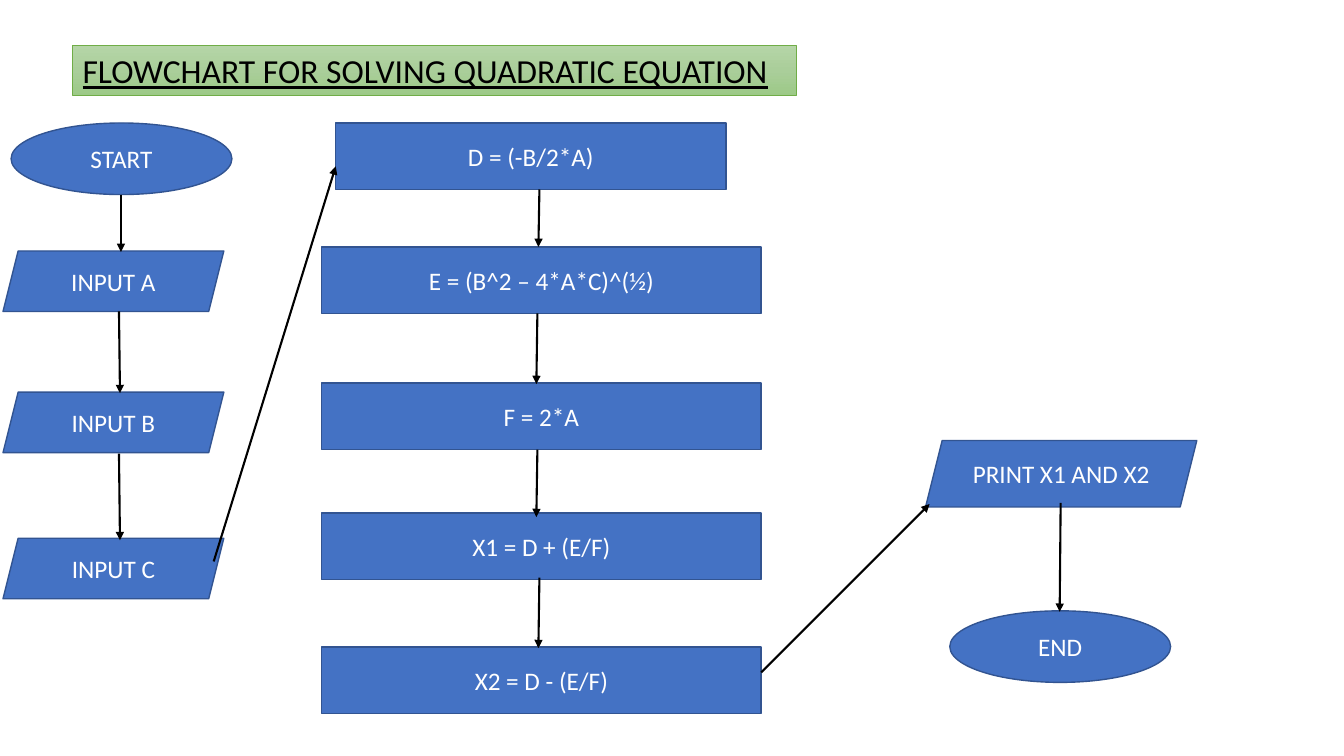
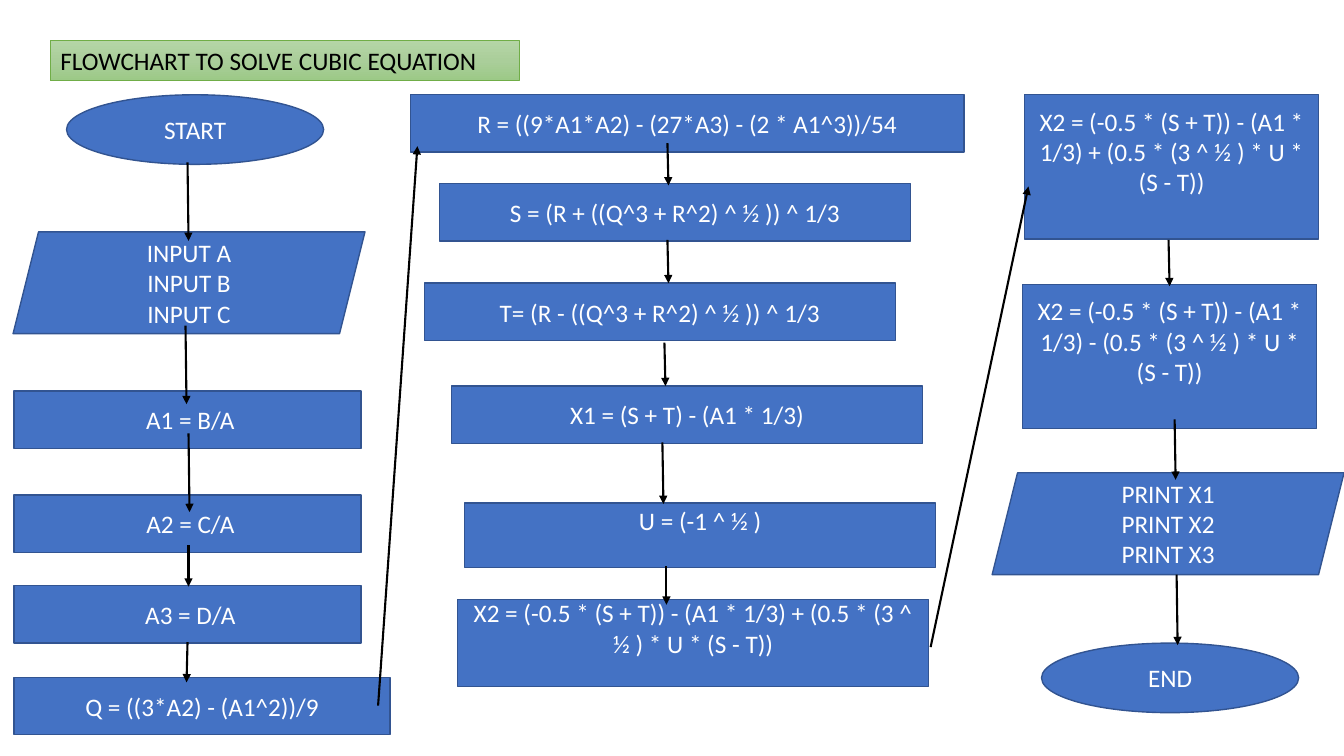
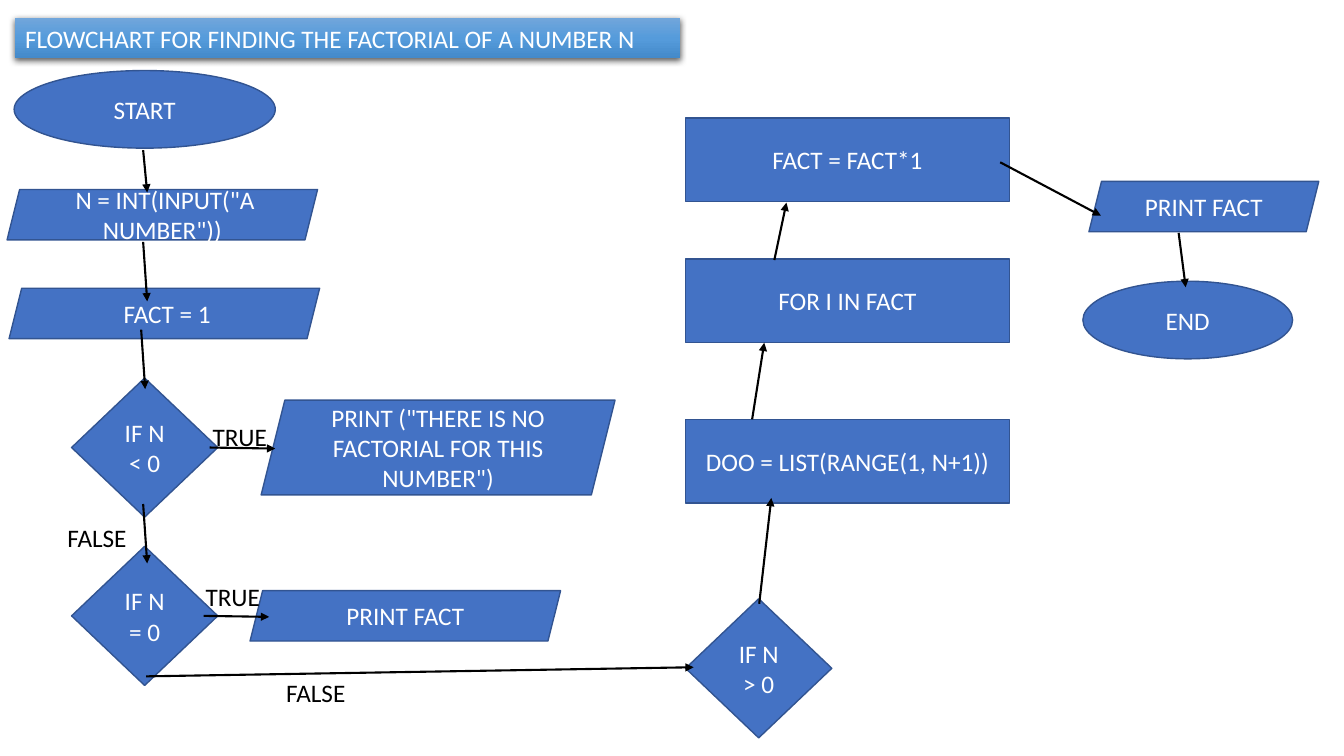
import copy

import pptx
import pptx.util
import pptx.dml.color
import pptx.enum.shapes
import pptx.enum.text
import pptx.oxml
import pptx.oxml.ns
import pptx.oxml.xmlchemy

Inches = pptx.util.Inches
Pt = pptx.util.Pt
SHAPES = pptx.enum.shapes.MSO_SHAPE
ALIGN = pptx.enum.text.PP_ALIGN
ANCHOR = pptx.enum.text.MSO_ANCHOR

FONT = "Calibri"
BODY_SIZE = 18
COLOURS = {
    "node": "4472C4",
    "edge": "325491",
    "light": "FFFFFF",
    "dark": "000000",
    "title_edge": "70AD47",
}
GREEN = ("B5D5A7", "AACE9A", "9CC987")
BLUE = ("71A6DB", "559BDB", "448ACA")
KINDS = {
    "terminal": SHAPES.OVAL,
    "data": SHAPES.PARALLELOGRAM,
    "process": SHAPES.RECTANGLE,
    "decision": SHAPES.DIAMOND,
}
TITLE_SHADOW = (
    '<a:effectLst xmlns:a="http://schemas.openxmlformats.org/drawingml/2006/main">'
    '<a:outerShdw blurRad="57150" dist="19050" dir="5400000" algn="ctr" rotWithShape="0">'
    '<a:srgbClr val="000000"><a:alpha val="63000"/></a:srgbClr>'
    "</a:outerShdw></a:effectLst>"
)


def rgb(value):
    """Turn a hex string into a colour."""
    return pptx.dml.color.RGBColor.from_string(value)


def write(box, text, colour, align, anchor, size=BODY_SIZE, underline=False):
    """Fill a shape with text, one paragraph for each line."""
    frame = box.text_frame
    frame.word_wrap = True
    frame.vertical_anchor = anchor
    for index, line in enumerate(text.split("\n")):
        para = frame.paragraphs[0] if index == 0 else frame.add_paragraph()
        para.alignment = align
        span = para.add_run()
        span.text = line
        span.font.name = FONT
        span.font.size = Pt(size)
        span.font.underline = underline
        span.font.color.rgb = rgb(COLOURS[colour])


def shade(fill, hues):
    """Apply a top-to-bottom gradient of three evenly spaced colours."""
    fill.gradient()
    fill.gradient_angle = 270
    stops = fill._xPr.find(".//" + pptx.oxml.ns.qn("a:gsLst"))
    stops.insert(1, copy.deepcopy(stops[0]))
    for index, (stop, hue) in enumerate(zip(fill.gradient_stops, hues)):
        stop.position = index / 2
        stop.color.rgb = rgb(hue)


def add_title(page, text, left, top, width, height, hues=GREEN, colour="dark",
              size=BODY_SIZE, underline=False, raised=False):
    """Draw the gradient title band, either outlined or raised by a shadow."""
    band = page.shapes.add_shape(SHAPES.RECTANGLE, Inches(left), Inches(top),
                                 Inches(width), Inches(height))
    shade(band.fill, hues)
    if raised:
        band.line.fill.background()
        band._element.spPr.append(pptx.oxml.parse_xml(TITLE_SHADOW))
    else:
        band.line.color.rgb = rgb(COLOURS["title_edge"])
        band.line.width = Pt(0.5)
        band.shadow.inherit = False
    write(band, text, colour, ALIGN.LEFT, ANCHOR.TOP, size, underline)


def add_node(page, kind, text, left, top, width, height, bottom_inset=0.05):
    """Draw one flowchart step."""
    node = page.shapes.add_shape(KINDS[kind], Inches(left), Inches(top),
                                 Inches(width), Inches(height))
    node.shadow.inherit = False
    node.fill.solid()
    node.fill.fore_color.rgb = rgb(COLOURS["node"])
    node.line.color.rgb = rgb(COLOURS["edge"])
    node.line.width = Pt(1)
    node.text_frame.margin_bottom = Inches(bottom_inset)
    write(node, text, "light", ALIGN.CENTER, ANCHOR.MIDDLE)


def add_column(page, kind, left, width, height, steps):
    """Draw steps of one kind and size below each other."""
    for text, top in steps:
        add_node(page, kind, text, left, top, width, height)


def add_arrows(page, routes):
    """Draw an arrow for each start and end point."""
    for route in routes:
        arrow = page.shapes.add_connector(pptx.enum.shapes.MSO_CONNECTOR.STRAIGHT,
                                          *[Inches(value) for value in route])
        arrow.line.color.rgb = rgb(COLOURS["dark"])
        arrow.line.width = Pt(1.5)
        head = pptx.oxml.xmlchemy.OxmlElement("a:tailEnd")
        head.set("type", "triangle")
        arrow.line._get_or_add_ln().append(head)
        arrow._element.spPr.append(pptx.oxml.xmlchemy.OxmlElement("a:effectLst"))


def add_label(page, text, left, top, width):
    """Write the name of a branch."""
    label = page.shapes.add_textbox(Inches(left), Inches(top), Inches(width), Inches(0.4))
    write(label, text, "dark", ALIGN.LEFT, ANCHOR.TOP)


def build_quadratic(page):
    """Build the quadratic equation flowchart."""
    add_title(page, "FLOWCHART FOR SOLVING QUADRATIC EQUATION",
              0.72, 0.45, 7.18, 0.5, size=24, underline=True)
    add_node(page, "terminal", "START", 0.11, 1.22, 2.19, 0.71)
    add_column(page, "data", 0.03, 2.19, 0.6,
               [("INPUT A", 2.49), ("INPUT B", 3.89), ("INPUT C", 5.34)])
    add_node(page, "process", "D = (-B/2*A)", 3.33, 1.22, 3.87, 0.66)
    add_column(page, "process", 3.19, 4.36, 0.66, [
        ("E = (B^2 – 4*A*C)^(½)", 2.45),
        ("F = 2*A", 3.8),
        ("X1 = D + (E/F)", 5.09),
        ("X2 = D - (E/F)", 6.42),
    ])
    add_node(page, "data", "PRINT X1 AND X2", 9.18, 4.37, 2.69, 0.66)
    add_node(page, "terminal", "END", 9.42, 6.06, 2.19, 0.71)
    add_arrows(page, [
        (1.2, 1.93, 1.2, 2.5),
        (1.18, 3.09, 1.19, 3.9),
        (1.18, 4.5, 1.19, 5.36),
        (2.12, 5.57, 3.33, 1.65),
        (5.35, 1.88, 5.34, 2.45),
        (5.33, 3.11, 5.32, 3.81),
        (5.33, 4.46, 5.32, 5.13),
        (5.35, 5.73, 5.34, 6.43),
        (7.55, 6.67, 9.22, 5),
        (10.52, 4.99, 10.51, 6.07),
    ])


def build_cubic(page):
    """Build the cubic equation flowchart."""
    root = "X2 = (-0.5 * (S + T)) - (A1 * 1/3) {} (0.5 * (3 ^ ½ ) * U * (S - T))"
    raised_text = 0.35
    add_title(page, "FLOWCHART TO SOLVE CUBIC EQUATION", 0.5, 0.4, 4.65, 0.4)
    add_node(page, "terminal", "START", 0.66, 0.94, 2.55, 0.69)
    add_node(page, "data", "INPUT A\nINPUT B\nINPUT C", 0.13, 2.3, 3.49, 1.01)
    add_column(page, "process", 0.14, 3.44, 0.57,
               [(" A1 = B/A", 3.88), (" A2 = C/A", 4.91), (" A3 = D/A", 5.81)])
    add_node(page, "process", "Q = ((3*A2) - (A1^2))/9", 0.14, 6.72, 3.73, 0.57)
    add_node(page, "process", "R = ((9*A1*A2) - (27*A3) - (2 * A1^3))/54",
             4.07, 0.94, 5.49, 0.57)
    for text, left, top in [
        ("S =\u00a0(R + ((Q^3 + R^2) ^ ½ )) ^ 1/3", 4.36, 1.82),
        ("T=\u00a0(R - ((Q^3 + R^2) ^ ½ )) ^ 1/3", 4.21, 2.81),
        ("X1 = (S + T) - (A1 * 1/3)", 4.48, 3.83),
    ]:
        add_node(page, "process", text, left, top, 4.67, 0.57)
    for text, left, top, width, height in [
        ("U = (-1 ^ ½ )", 4.61, 4.99, 4.67, 0.64),
        (root.format("+"), 4.54, 5.95, 4.67, 0.86),
        (root.format("+"), 10.16, 0.94, 2.92, 1.43),
        (root.format("-"), 10.14, 2.82, 2.92, 1.43),
    ]:
        add_node(page, "process", text, left, top, width, height, raised_text)
    add_node(page, "data", "PRINT X1\nPRINT X2\nPRINT X3", 9.84, 4.69, 3.49, 1.01)
    add_node(page, "terminal", "END", 10.33, 6.38, 2.55, 0.69)
    add_arrows(page, [
        (1.86, 1.61, 1.87, 2.39),
        (1.84, 3.23, 1.85, 4.01),
        (1.87, 4.3, 1.88, 5.08),
        (1.87, 5.41, 1.87, 5.82),
        (1.86, 6.37, 1.85, 6.77),
        (3.75, 7, 4.14, 1.45),
        (6.62, 1.42, 6.63, 1.84),
        (6.62, 2.38, 6.63, 2.81),
        (6.59, 3.4, 6.6, 3.83),
        (6.57, 4.39, 6.58, 5),
        (6.61, 5.62, 6.61, 6),
        (9.23, 6.42, 10.2, 1.85),
        (11.59, 2.38, 11.6, 2.84),
        (11.65, 4.16, 11.66, 4.76),
        (11.67, 5.7, 11.68, 6.4),
    ])


def build_factorial(page):
    """Build the factorial flowchart."""
    add_title(page, "FLOWCHART FOR FINDING THE FACTORIAL OF A NUMBER N",
              0.15, 0.18, 6.6, 0.4, hues=BLUE, colour="light", raised=True)
    add_node(page, "terminal", "START", 0.14, 0.7, 2.59, 0.77)
    add_node(page, "data", '\u00a0N = INT(INPUT("A NUMBER"))', 0.07, 1.88, 3.08, 0.5)
    add_node(page, "data", "\u00a0FACT = 1", 0.09, 2.86, 3.08, 0.5)
    add_column(page, "decision", 0.71, 1.45, 1.38, [("IF N < 0", 3.75), ("IF N = 0", 5.42)])
    add_node(page, "data", 'PRINT ("THERE IS NO FACTORIAL FOR THIS NUMBER")',
             2.59, 3.97, 3.51, 0.94)
    add_node(page, "data", "PRINT FACT", 2.48, 5.86, 3.08, 0.5)
    add_node(page, "decision", "IF N > 0", 6.8, 5.94, 1.45, 1.38)
    add_column(page, "process", 6.8, 3.21, 0.83, [
        ("DOO = LIST(RANGE(1, N+1))", 4.16),
        ("FOR I IN FACT", 2.57),
        ("FACT = FACT*1", 1.17),
    ])
    add_node(page, "data", "PRINT FACT", 10.8, 1.8, 2.28, 0.5)
    add_node(page, "terminal", "END", 10.74, 2.79, 2.08, 0.77)
    add_arrows(page, [
        (1.42, 1.49, 1.46, 1.91),
        (1.42, 2.4, 1.46, 2.99),
        (1.4, 3.27, 1.44, 3.86),
        (2.08, 4.44, 2.73, 4.45),
        (1.42, 5, 1.46, 5.59),
        (2.02, 6.11, 2.67, 6.12),
        (1.45, 6.71, 6.88, 6.62),
        (7.53, 5.99, 7.65, 4.94),
        (7.46, 4.16, 7.58, 3.4),
        (7.68, 2.58, 7.8, 2.01),
        (9.92, 1.61, 10.92, 2.14),
        (11.69, 2.31, 11.76, 2.85),
    ])
    add_label(page, "TRUE", 2.01, 4.13, 0.96)
    add_label(page, "TRUE", 1.94, 5.72, 0.96)
    add_label(page, "FALSE", 2.74, 6.67, 3)
    add_label(page, "FALSE", 0.57, 5.13, 3)


def main():
    """Build and save the deck."""
    deck = pptx.Presentation()
    deck.slide_width = Inches(13.33)
    deck.slide_height = Inches(7.5)
    for build in (build_quadratic, build_cubic, build_factorial):
        build(deck.slides.add_slide(deck.slide_layouts[6]))
    deck.save("out.pptx")


main()
